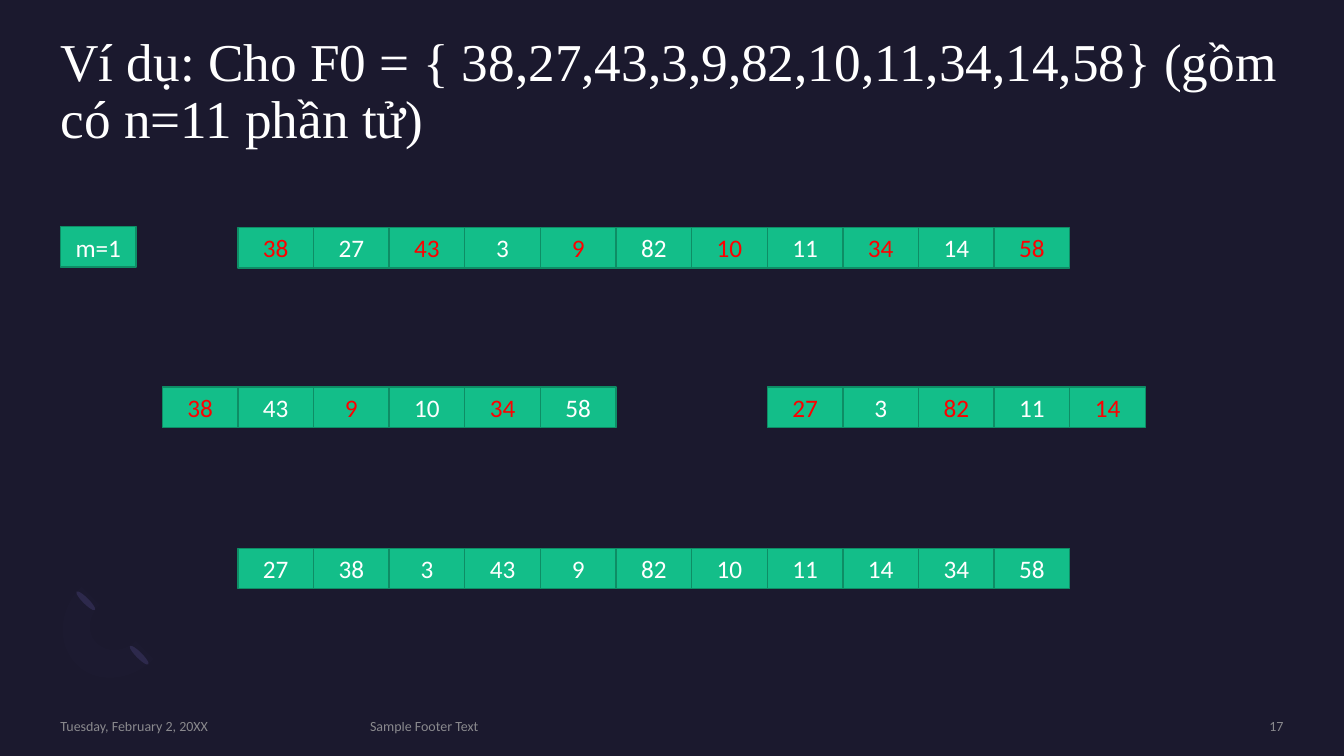
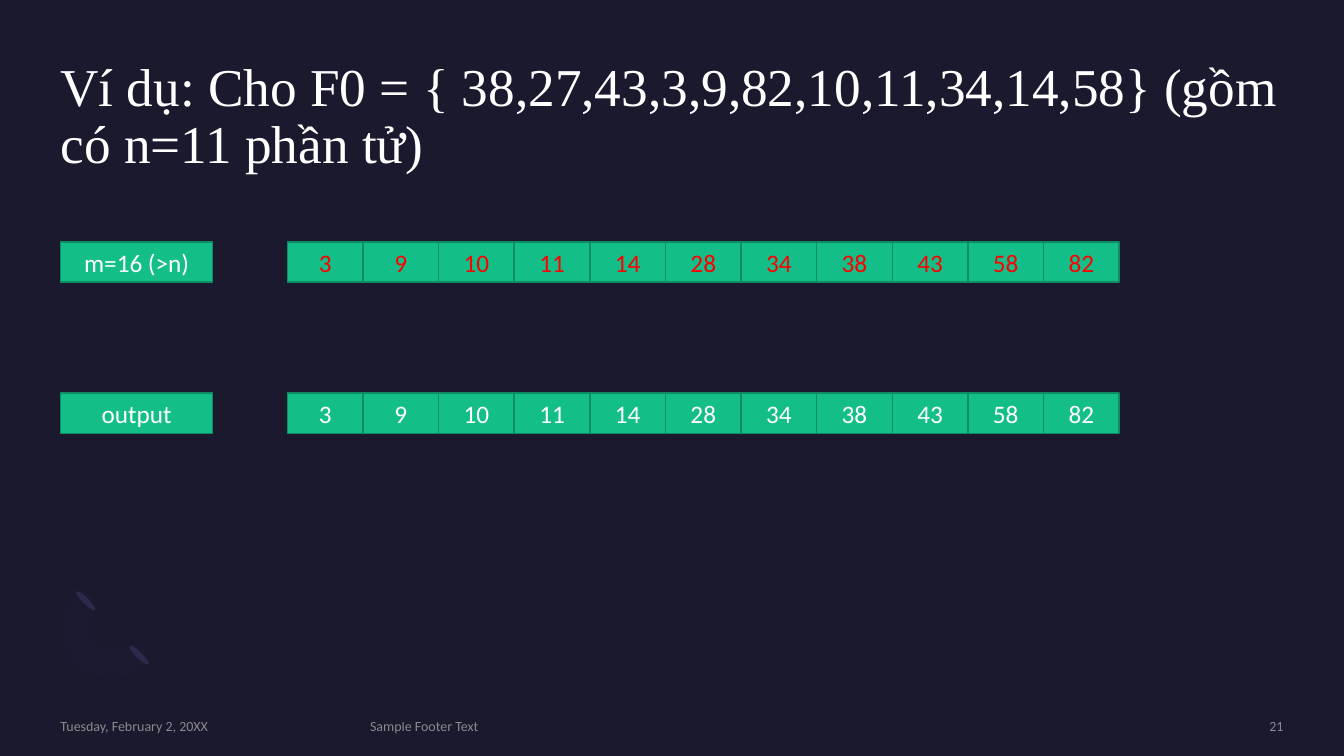
from lxml.etree import SubElement
from pptx import Presentation
from pptx.dml.color import RGBColor
from pptx.enum.shapes import MSO_SHAPE as Preset
from pptx.enum.text import MSO_ANCHOR as Anchor, MSO_AUTO_SIZE as AutoSize, PP_ALIGN as Align
from pptx.oxml.ns import qn
from pptx.util import Inches, Pt

NIGHT, WHITE, RED, GREY = "1B192E", "FFFFFF", "FF0000", "A6A6A6"
GREEN, DARK_GREEN, INDIGO, LILAC = "13BE89", "0E8D65", "2C284A", "7771B2"
BODY_FONT, TITLE_FONT = "Calibri", "Times New Roman"
MARGIN, CELL_WIDTH, CELL_HEIGHT = 0.6, 0.75, 0.4
TITLE = "Ví dụ: Cho F0 = { 38,27,43,3,9,82,10,11,34,14,58} (gồm có n=11 phần tử)"
UNSORTED = [38, 27, 43, 3, 9, 82, 10, 11, 34, 14, 58]
MERGED = [27, 38, 3, 43, 9, 82, 10, 11, 14, 34, 58]
SORTED = [3, 9, 10, 11, 14, 28, 34, 38, 43, 58, 82]


def rgb(color):
    return RGBColor.from_string(color)


def set_opacity(element, percent):
    """Give the first colour inside an XML element the stated opacity."""
    color = element.xpath(".//a:srgbClr")[0]
    SubElement(color, qn("a:alpha")).set("val", str(percent * 1000))


def style_paragraph(para, size, color, font=BODY_FONT, align=Align.LEFT):
    para.alignment = align
    para.font.size = Pt(size)
    para.font.name = font
    para.font.color.rgb = rgb(color)


def clear_insets(frame):
    frame.margin_left = frame.margin_top = frame.margin_right = frame.margin_bottom = 0
    frame.word_wrap = True


def paint(shape, fill, line=None):
    shape.shadow.inherit = False
    shape.fill.solid()
    shape.fill.fore_color.rgb = rgb(fill)
    if line:
        shape.line.color.rgb = rgb(line)
        shape.line.width = Pt(1)
    else:
        shape.line.fill.background()


def curve_points(start, first, second, end, steps=12):
    """Points along a cubic curve, without its start."""
    for step in range(1, steps + 1):
        t = step / steps
        weights = ((1 - t) ** 3, 3 * t * (1 - t) ** 2, 3 * t * t * (1 - t), t ** 3)
        yield tuple(
            sum(weight * value for weight, value in zip(weights, values))
            for values in zip(start, first, second, end)
        )


def add_ring_ornament(page):
    for left, top in ((1.35, 6.37), (0.82, 5.83)):
        tip = page.shapes.add_shape(
            Preset.OVAL, Inches(left), Inches(top), Inches(0.06), Inches(0.26))
        tip.rotation = 135
        paint(tip, INDIGO)

    outline = [
        *curve_points((0.76, 6.59), (0.56, 6.39), (0.58, 6.05), (0.81, 5.82)),
        (0.99, 6),
        *curve_points((0.99, 6), (0.87, 6.11), (0.86, 6.29), (0.96, 6.38)),
        *curve_points((0.96, 6.38), (1.06, 6.48), (1.23, 6.47), (1.35, 6.36)),
        (1.52, 6.54),
        *curve_points((1.52, 6.54), (1.3, 6.76), (0.95, 6.79), (0.76, 6.59)),
    ]
    points = [(Inches(x), Inches(y)) for x, y in outline]
    builder = page.shapes.build_freeform(*points[-1])
    builder.add_line_segments(points, close=True)
    ring = builder.convert_to_shape()
    paint(ring, LILAC)
    set_opacity(ring.fill._xPr, 2)


def add_footer_text(page, text, left, width, align=Align.LEFT):
    box = page.shapes.add_textbox(Inches(left), Inches(7.12), Inches(width), Inches(0.17))
    frame = box.text_frame
    clear_insets(frame)
    frame.vertical_anchor = Anchor.MIDDLE
    frame.text = text
    style_paragraph(frame.paragraphs[0], 10, GREY, align=align)
    set_opacity(frame.paragraphs[0]._p, 80)


def add_page(deck, number, title_top):
    """Add a slide with the shared ornament, title and footer."""
    page = deck.slides.add_slide(deck.slide_layouts.get_by_name("Title Only"))
    add_ring_ornament(page)

    title = page.shapes.title
    title.left, title.top = Inches(MARGIN), Inches(title_top)
    title.width, title.height = Inches(12.13), Inches(1.46)
    frame = title.text_frame
    frame.text = TITLE
    clear_insets(frame)
    frame.auto_size = AutoSize.NONE
    frame.vertical_anchor = Anchor.TOP
    para = frame.paragraphs[0]
    para.line_spacing = 0.9
    style_paragraph(para, 38, WHITE, TITLE_FONT)

    add_footer_text(page, "Tuesday, February 2, 20XX", MARGIN, 2.88)
    add_footer_text(page, "Sample Footer Text", 3.67, 6.98)
    add_footer_text(page, str(number), 10.88, 1.85, Align.RIGHT)
    return page


def add_cell(page, text, left, top, width=CELL_WIDTH, color=WHITE):
    cell = page.shapes.add_shape(
        Preset.RECTANGLE, Inches(left), Inches(top), Inches(width), Inches(CELL_HEIGHT))
    paint(cell, GREEN, DARK_GREEN)
    frame = cell.text_frame
    frame.vertical_anchor = Anchor.MIDDLE
    frame.text = str(text)
    style_paragraph(frame.paragraphs[0], 18, color, align=Align.CENTER)


def add_array(page, values, left, top, red_step=0):
    """Draw a row of cells; every red_step-th number from the first is red."""
    for index, value in enumerate(values):
        is_red = red_step and index % red_step == 0
        add_cell(page, value, left + index * CELL_WIDTH, top, color=RED if is_red else WHITE)


def add_first_pass(deck):
    page = add_page(deck, 17, 0.35)
    add_array(page, UNSORTED, 2.36, 2.26, red_step=2)
    add_array(page, UNSORTED[::2], 1.61, 3.84, red_step=2)
    add_array(page, UNSORTED[1::2], 7.61, 3.84, red_step=2)
    add_array(page, MERGED, 2.36, 5.44)
    add_cell(page, "m=1", MARGIN, 2.25)


def add_final_pass(deck):
    page = add_page(deck, 21, 0.6)
    for label, top, red_step in (("m=16 (>n)", 2.4, 1), ("output", 3.9, 0)):
        add_cell(page, label, MARGIN, top, width=1.51)
        add_array(page, SORTED, 2.85, top, red_step)


def main():
    deck = Presentation()
    deck.slide_width, deck.slide_height = Inches(13.33), Inches(7.5)
    background = deck.slide_master.background.fill
    background.solid()
    background.fore_color.rgb = rgb(NIGHT)
    add_first_pass(deck)
    add_final_pass(deck)
    deck.save("out.pptx")


if __name__ == "__main__":
    main()
